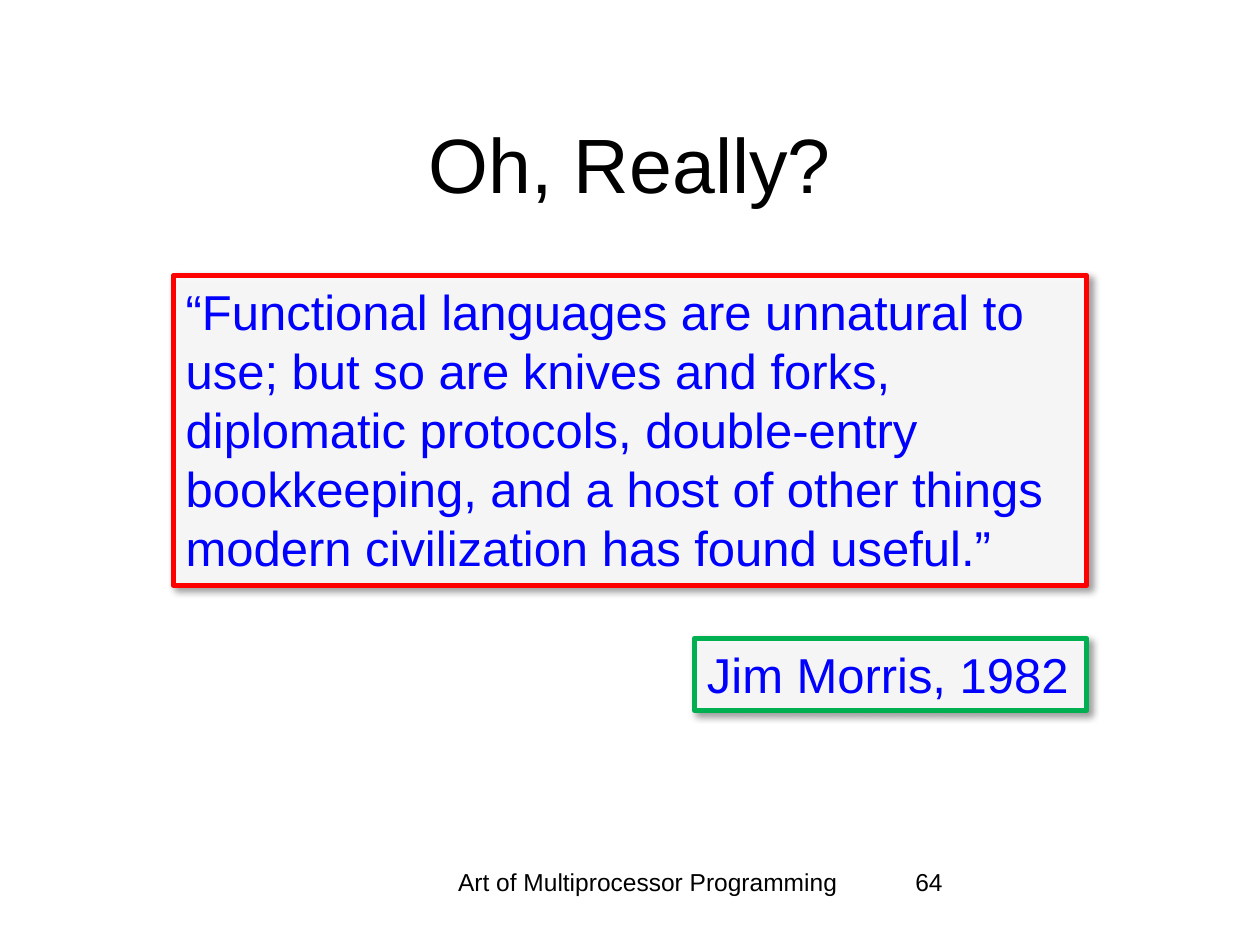
import dataclasses

import lxml.etree
import pptx
import pptx.dml.color
import pptx.enum.shapes
import pptx.enum.text
import pptx.oxml
import pptx.oxml.ns
import pptx.util

ALIGN = pptx.enum.text.PP_ALIGN
ANCHOR = pptx.enum.text.MSO_ANCHOR


@dataclasses.dataclass(frozen=True)
class Theme:
    font: str = "Arial"
    ink: str = "000000"
    accent: str = "0000FF"
    paper: str = "FFFFFF"
    quote_line: str = "FF0000"
    author_line: str = "00B050"
    title_size: int = 44
    body_size: int = 28
    footer_size: int = 14
    line_width: int = 3
    fill_alpha: int = 90
    shadow_alpha: int = 40
    shadow_blur: int = 4
    shadow_distance: int = 3
    shadow_angle: int = 45


class Deck:
    columns = 120
    rows = 90

    def __init__(self, theme):
        self.theme = theme
        self.prs = pptx.Presentation()
        self.prs.slide_width = pptx.util.Inches(10)
        self.prs.slide_height = pptx.util.Inches(7.5)
        self.slide = self.prs.slides.add_slide(self.prs.slide_layouts[6])

    def place(self, column, row, width, height):
        cell_w = self.prs.slide_width / self.columns
        cell_h = self.prs.slide_height / self.rows
        return (round(column * cell_w), round(row * cell_h),
                round(width * cell_w), round(height * cell_h))

    def color(self, value):
        return pptx.dml.color.RGBColor.from_string(value)

    def add_text(self, sp, text, size, color, align, anchor, wrap=True):
        tf = sp.text_frame
        tf.word_wrap = wrap
        tf.vertical_anchor = anchor
        p = tf.paragraphs[0]
        p.alignment = align
        r = p.add_run()
        r.text = text
        r.font.name = self.theme.font
        r.font.size = pptx.util.Pt(size)
        r.font.color.rgb = self.color(color)

    def label(self, grid, text, size, align=ALIGN.LEFT, anchor=ANCHOR.TOP):
        sp = self.slide.shapes.add_textbox(*self.place(*grid))
        self.add_text(sp, text, size, self.theme.ink, align, anchor)

    def card(self, grid, text, line, wrap=True):
        rect = pptx.enum.shapes.MSO_SHAPE.RECTANGLE
        sp = self.slide.shapes.add_shape(rect, *self.place(*grid))
        sp.fill.solid()
        sp.fill.fore_color.rgb = self.color(self.theme.paper)
        sp.line.color.rgb = self.color(line)
        sp.line.width = pptx.util.Pt(self.theme.line_width)
        self.fade(sp)
        self.cast_shadow(sp)
        self.add_text(sp, text, self.theme.body_size, self.theme.accent,
                      ALIGN.LEFT, ANCHOR.TOP, wrap)
        sp.text_frame.auto_size = pptx.enum.text.MSO_AUTO_SIZE.SHAPE_TO_FIT_TEXT

    def fade(self, sp):
        qn = pptx.oxml.ns.qn
        paint = sp._element.spPr.find(qn("a:solidFill")).find(qn("a:srgbClr"))
        alpha = lxml.etree.SubElement(paint, qn("a:alpha"))
        alpha.set("val", str(self.theme.fill_alpha * 1000))

    def cast_shadow(self, sp):
        t = self.theme
        sp.shadow.inherit = False
        effects = sp._element.spPr.find(pptx.oxml.ns.qn("a:effectLst"))
        effects.append(pptx.oxml.parse_xml(
            f'<a:outerShdw {pptx.oxml.ns.nsdecls("a")}'
            f' blurRad="{pptx.util.Pt(t.shadow_blur)}"'
            f' dist="{pptx.util.Pt(t.shadow_distance)}"'
            f' dir="{t.shadow_angle * 60000}" algn="tl" rotWithShape="0">'
            f'<a:srgbClr val="{t.ink}"><a:alpha val="{t.shadow_alpha * 1000}"/>'
            f'</a:srgbClr></a:outerShdw>'))


def main():
    theme = Theme()
    deck = Deck(theme)
    deck.label((9, 8, 102, 15), "Oh, Really?", theme.title_size,
               ALIGN.CENTER, ANCHOR.MIDDLE)
    deck.label((41, 82, 41.4, 6), "Art of Multiprocessor Programming",
               theme.footer_size, ALIGN.CENTER)
    deck.label((86, 82, 25, 6), "64", theme.footer_size)
    deck.card((16.5, 26.25, 87, 29.5),
              "“Functional languages are unnatural to use; but so are knives "
              "and forks, diplomatic protocols, double-entry bookkeeping, and "
              "a host of other things modern civilization has found useful.”",
              theme.quote_line)
    deck.card((66.15, 60.8, 37.35, 6.85), "Jim Morris, 1982",
              theme.author_line, wrap=False)
    deck.prs.save("out.pptx")


if __name__ == "__main__":
    main()
